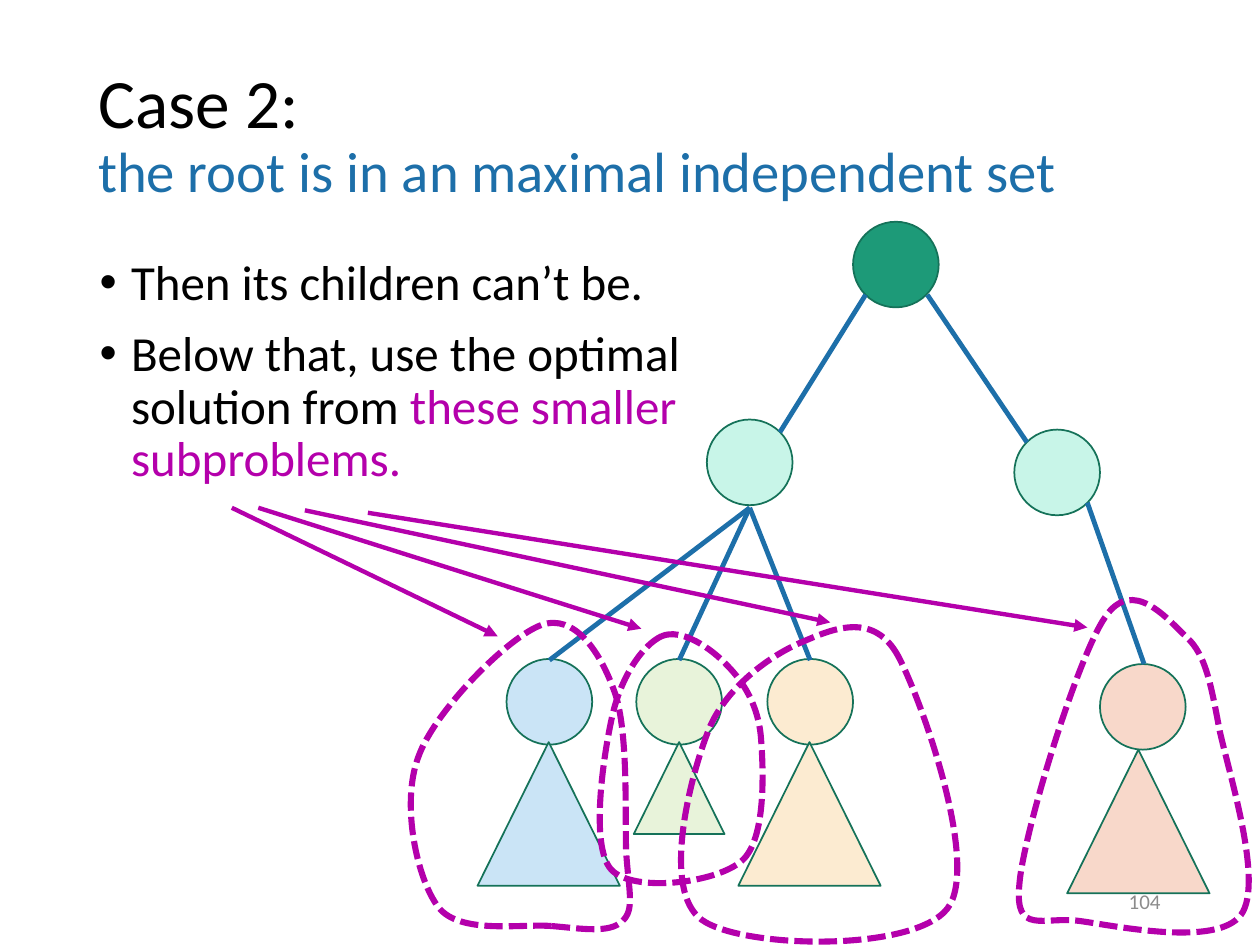
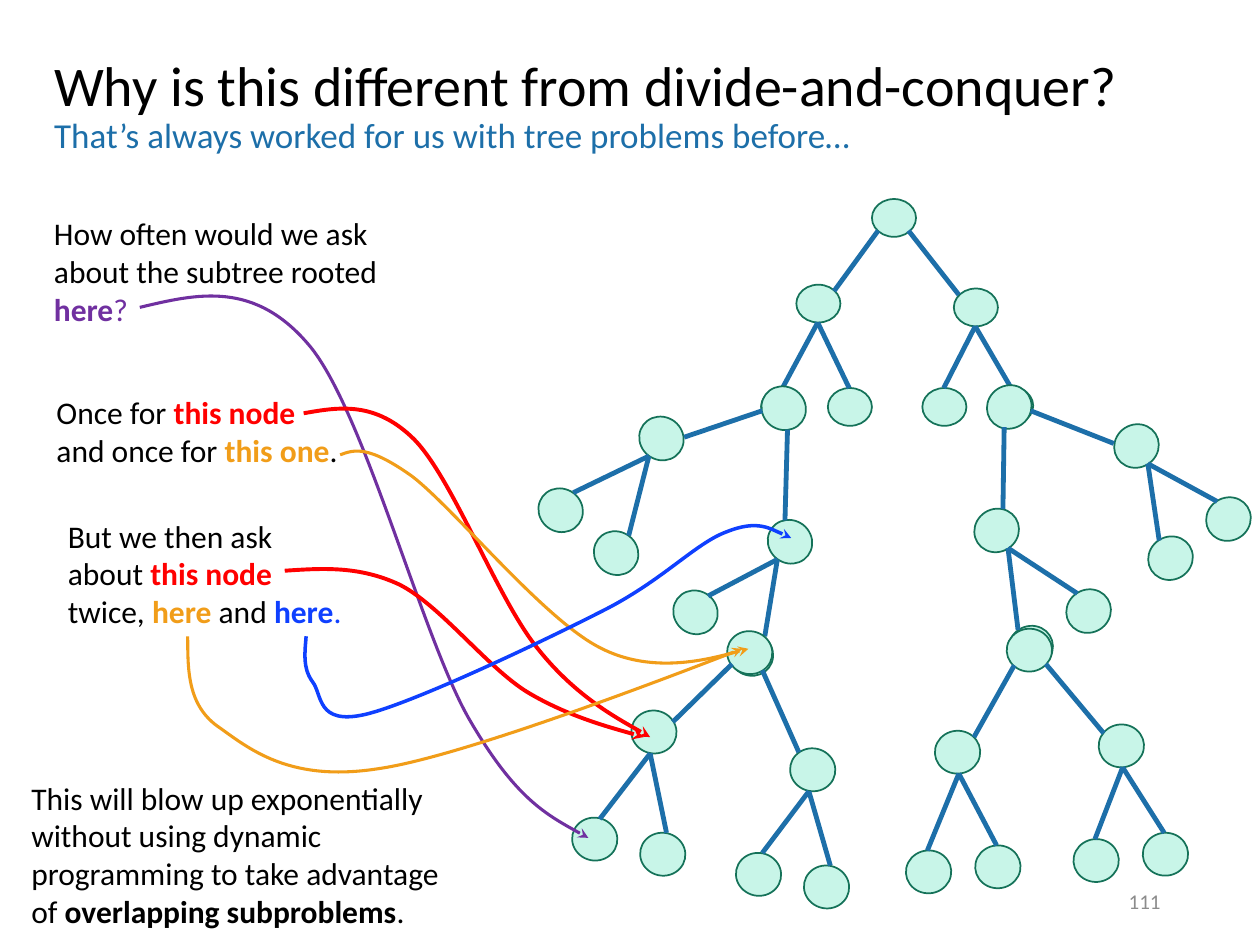
from collections import namedtuple

from lxml.etree import SubElement
from pptx import Presentation
from pptx.dml.color import RGBColor
from pptx.enum.dml import MSO_LINE
from pptx.enum.shapes import MSO_CONNECTOR, MSO_SHAPE
from pptx.enum.text import MSO_ANCHOR, MSO_AUTO_SIZE, PP_ALIGN
from pptx.oxml.ns import qn
from pptx.util import Pt

PX = 9144
FONT = "Calibri"

BLACK = RGBColor(0x00, 0x00, 0x00)
GRAY = RGBColor(0x8C, 0x8C, 0x8C)
BLUE = RGBColor(0x1D, 0x6F, 0xA9)
BRIGHT_BLUE = RGBColor(0x0F, 0x40, 0xFF)
MAGENTA = RGBColor(0xB4, 0x00, 0xAB)
PURPLE = RGBColor(0x70, 0x30, 0xA0)
RED = RGBColor(0xFF, 0x00, 0x00)
ORANGE = RGBColor(0xF1, 0x9D, 0x19)
OUTLINE = RGBColor(0x15, 0x72, 0x59)
GREEN = RGBColor(0x1D, 0x9A, 0x78)
MINT = RGBColor(0xC8, 0xF5, 0xE8)
PALE_ORANGE = RGBColor(0xFC, 0xEB, 0xD1)
PALE_GREEN = RGBColor(0xE8, 0xF3, 0xDA)
PALE_BLUE = RGBColor(0xCA, 0xE4, 0xF6)
PALE_RED = RGBColor(0xF8, 0xD8, 0xCA)

Box = namedtuple("Box", "left top width height")
Subtree = namedtuple("Subtree", "fill circle triangle size boundary")
Cluster = namedtuple("Cluster", "top right left size rotation")

NODE = 68
ROOT_NODES = [(377, 76, GREEN), (505, 241, MINT), (261, 233, MINT)]
ROOT_EDGES = [
    (515, 251, 436, 134), (319, 243, 387, 134), (343, 424, 295, 303),
    (239, 424, 295, 303), (136, 424, 295, 303), (563, 299, 608, 427),
]
SUBTREES = [
    Subtree(PALE_BLUE, (102, 423), (79, 489), (113, 114), [
        (138, 635), (162, 637), (184, 641), (194, 631), (204, 622), (199, 607), (197, 576),
        (196, 545), (199, 477), (187, 447), (176, 417), (156, 387), (130, 396),
        (104, 405), (45, 464), (32, 501), (18, 538), (31, 598), (48, 620),
        (65, 642), (114, 633), (138, 635)]),
    Subtree(PALE_GREEN, (205, 423), (203, 489), (72, 73), [
        (225, 405), (210, 412), (193, 437), (186, 468), (179, 499), (168, 571), (185, 590),
        (202, 609), (269, 601), (289, 583), (308, 566), (306, 512), (304, 486),
        (302, 460), (290, 441), (277, 428), (265, 415), (241, 398), (225, 405)]),
    Subtree(PALE_ORANGE, (309, 423), (286, 489), (113, 114), [
        (413, 421), (394, 386), (363, 398), (338, 409), (313, 419), (274, 446), (261, 483),
        (247, 520), (225, 607), (257, 630), (289, 653), (425, 656), (452, 621),
        (478, 587), (432, 457), (413, 421)]),
    Subtree(PALE_RED, (573, 427), (547, 495), (113, 114), [
        (577, 390), (555, 422), (512, 562), (509, 602), (505, 643), (528, 627), (557, 631),
        (586, 635), (666, 652), (685, 626), (703, 601), (676, 516), (668, 480),
        (661, 443), (657, 420), (642, 406), (627, 392), (599, 357), (577, 390)]),
]
SUBPROBLEM_ARROWS = [
    (0, 0, 211, 102), (21, 0, 325, 96), (58, 2, 475, 91), (108, 4, 679, 95),
]

CLUSTER_RIGHT, CLUSTER_LEFT = (65, 71), (-60, 68)
CLUSTER_NODES = [
    (0, 0), CLUSTER_RIGHT, CLUSTER_LEFT, (-35, 150), (-88, 150), (93, 149), (40, 150),
]
CLUSTER_EDGES = [
    (52, 61, 12, 10), (-47, 58, -12, 10), (-88, 135, -60, 83),
    (-35, 135, -60, 83), (93, 134, 65, 86), (40, 135, 65, 86),
]
CLUSTERS = [
    Cluster((309, 73), (374, 144), (249, 141), (35, 30), 0),
    Cluster((222, 224), (227, 330), (125, 248), (36, 34), 37.3),
    Cluster((401, 223), (502, 254), (391, 321), (36, 34), 327.4),
    Cluster((417, 416), (490, 492), (360, 497), (36, 34), 356.1),
    Cluster((195, 418), (245, 511), (119, 481), (36, 34), 11.8),
]
CALL_CURVES = [
    (PURPLE, 1.75, [
        (11, 44), (57, 33), (103, 22), (147, 76), (190, 130), (235, 305), (272, 370),
        (309, 434), (338, 449), (367, 465)]),
    (RED, 2.25, [
        (141, 128), (169, 123), (198, 118), (229, 149), (260, 181), (295, 276), (327, 315),
        (358, 354), (416, 385), (416, 385)]),
    (ORANGE, 1.75, [
        (170, 161), (181, 157), (192, 153), (227, 178), (261, 204), (331, 291), (376, 314),
        (420, 337), (494, 315), (494, 315)]),
    (RED, 2.25, [
        (126, 253), (156, 251), (185, 249), (217, 264), (249, 280), (286, 329), (318, 349),
        (351, 369), (411, 385), (411, 385)]),
    (ORANGE, 1.75, [
        (49, 305), (49, 333), (49, 361), (75, 378), (100, 396), (132, 421), (201, 410),
        (270, 400), (489, 315), (489, 315)]),
    (BRIGHT_BLUE, 2, [
        (143, 305), (142, 318), (140, 330), (148, 341), (156, 351), (151, 376), (190, 367),
        (228, 358), (331, 309), (378, 285), (426, 261), (452, 231), (477, 222),
        (502, 212), (528, 227), (528, 227)]),
]
REMARKS = [
    (Box(33, 165, 303, 101), [
        ("How often would we ask about the subtree rooted ", BLACK, False),
        ("here", PURPLE, True), ("?", PURPLE, False)]),
    (Box(35, 307, 253, 71), [
        ("Once for ", BLACK, False), ("this node ", RED, True),
        ("and once for ", BLACK, False), ("this one", ORANGE, True), (".", BLACK, False)]),
    (Box(44, 405, 243, 101), [
        ("But we then ask about ", BLACK, False), ("this node ", RED, True),
        ("twice, ", BLACK, False), ("here", ORANGE, True), (" and ", BLACK, False),
        ("here", BRIGHT_BLUE, True), (".", BRIGHT_BLUE, False)]),
    (Box(15, 613, 369, 131), [
        ("This will blow up exponentially without using dynamic programming "
         "to take advantage of ", BLACK, False),
        ("overlapping subproblems", BLACK, True), (".", BLACK, False)]),
]


def apply_format(target, values):
    """Set each named attribute of the target."""
    for name, value in values.items():
        setattr(target, name, value)


def scaled(*lengths):
    """Turn px into EMU."""
    return [length * PX for length in lengths]


def add_run(paragraph, text, size, color, bold=False):
    """Append one formatted run."""
    run = paragraph.add_run()
    run.text = text
    apply_format(run.font, {"name": FONT, "size": Pt(size), "bold": bold})
    run.font.color.rgb = color


def add_text(slide, box, runs, size, frame_format, alignment=PP_ALIGN.LEFT):
    """Add a wrapping text box with one paragraph of runs."""
    frame = slide.shapes.add_textbox(*scaled(*box)).text_frame
    apply_format(frame, {"word_wrap": True, **frame_format})
    paragraph = frame.paragraphs[0]
    paragraph.alignment = alignment
    for text, color, bold in runs:
        add_run(paragraph, text, size, color, bold)


def add_title(slide, box, heading, heading_size, subtitle, subtitle_size):
    """Fill the title placeholder with a heading and a blue second line."""
    title = slide.shapes.title
    apply_format(title, dict(zip(Box._fields, scaled(*box))))
    apply_format(title.text_frame, {
        "vertical_anchor": MSO_ANCHOR.MIDDLE, "auto_size": MSO_AUTO_SIZE.NONE})
    paragraph = title.text_frame.paragraphs[0]
    apply_format(paragraph, {"alignment": PP_ALIGN.LEFT, "line_spacing": 0.9})
    add_run(paragraph, heading, heading_size, BLACK)
    paragraph.add_line_break()
    add_run(paragraph, subtitle, subtitle_size, BLUE)


def add_page_number(slide, number):
    """Add the grey page number at the lower right."""
    add_text(slide, Box(706, 695, 225, 40), [(number, GRAY, False)], 12,
             {"vertical_anchor": MSO_ANCHOR.MIDDLE}, PP_ALIGN.RIGHT)


def add_bullets(slide, box, bullets):
    """Fill the body placeholder with bulleted paragraphs."""
    body = slide.placeholders[1]
    apply_format(body, dict(zip(Box._fields, scaled(*box))))
    frame = body.text_frame
    frame.auto_size = MSO_AUTO_SIZE.NONE
    for index, runs in enumerate(bullets):
        paragraph = frame.add_paragraph() if index else frame.paragraphs[0]
        apply_format(paragraph, {"line_spacing": 0.9, "space_before": Pt(10 if index else 0)})
        properties = paragraph._p.get_or_add_pPr()
        properties.set("marL", str(25 * PX))
        properties.set("indent", str(-25 * PX))
        SubElement(properties, qn("a:buFont"), typeface="Arial")
        SubElement(properties, qn("a:buChar"), char="•")
        for text, color in runs:
            add_run(paragraph, text, 28, color)


def set_line(shape, color, width, dash=None, arrowhead=None):
    """Format a line, with an optional dash and arrowhead."""
    shape.line.color.rgb = color
    shape.line.width = Pt(width)
    if dash:
        shape.line.dash_style = dash
    if arrowhead:
        SubElement(shape.element.xpath(".//a:ln")[0], qn("a:tailEnd"), type=arrowhead)


def add_node(shapes, kind, box, fill, rotation=0):
    """Add a filled tree part with a thin outline."""
    shape = shapes.add_shape(kind, *scaled(*box))
    shape.rotation = rotation
    shape.shadow.inherit = False
    shape.fill.solid()
    shape.fill.fore_color.rgb = fill
    set_line(shape, OUTLINE, 1)


def add_line(shapes, box, ends, color=BLUE, width=2.75, arrowhead=None):
    """Add a straight line between two points of the box."""
    x1, y1, x2, y2 = ends
    connector = shapes.add_connector(MSO_CONNECTOR.STRAIGHT, *scaled(
        box.left + x1, box.top + y1, box.left + x2, box.top + y2))
    set_line(connector, color, width, arrowhead=arrowhead)
    SubElement(connector.element.spPr, qn("a:effectLst"))


def curve_points(points, steps=20):
    """List points along a chain of cubic curves."""
    found = [points[0]]
    for start in range(0, len(points) - 1, 3):
        for step in range(1, steps + 1):
            t = step / steps
            weights = ((1 - t) ** 3, 3 * t * (1 - t) ** 2, 3 * t * t * (1 - t), t ** 3)
            found.append(tuple(
                round(sum(w * p[axis] for w, p in zip(weights, points[start:start + 4])))
                for axis in (0, 1)))
    return found


def add_curve(shapes, box, points, color, width, closed=False, **line_format):
    """Add a freeform of cubic curves that fits its outline."""
    points = [(box.left + x, box.top + y) for x, y in points]
    outline = curve_points(points)
    builder = shapes.build_freeform(*outline[0], scale=PX)
    builder.add_line_segments(outline[1:], close=closed)
    shape = builder.convert_to_shape()
    geometry = shape.element.xpath(".//a:path")[0]
    for command in list(geometry):
        geometry.remove(command)
    left, top = (min(values) for values in zip(*outline))
    for index, (x, y) in enumerate(points):
        if index == 0:
            command = SubElement(geometry, qn("a:moveTo"))
        elif index % 3 == 1:
            command = SubElement(geometry, qn("a:cubicBezTo"))
        SubElement(command, qn("a:pt"), x=str(x - left), y=str(y - top))
    if closed:
        SubElement(geometry, qn("a:close"))
    shape.fill.background()
    shape.shadow.inherit = False
    set_line(shape, color, width, **line_format)


def add_rooted_tree(slide, box):
    """Draw the root, its children and the dashed subproblems."""
    shapes = slide.shapes
    circles = ROOT_NODES + [(*subtree.circle, subtree.fill) for subtree in SUBTREES]
    for x, y, fill in circles:
        add_node(shapes, MSO_SHAPE.OVAL, (box.left + x, box.top + y, NODE, NODE), fill)
    for ends in ROOT_EDGES:
        add_line(shapes, box, ends)
    for subtree in SUBTREES:
        x, y = subtree.triangle
        add_node(shapes, MSO_SHAPE.ISOSCELES_TRIANGLE,
                 (box.left + x, box.top + y, *subtree.size), subtree.fill)
    for subtree in SUBTREES:
        add_curve(shapes, box, subtree.boundary, MAGENTA, 3.5, closed=True,
                  dash=MSO_LINE.SQUARE_DOT)


def add_cluster(slide, box, cluster):
    """Draw the seven-node pattern, stretched to the cluster's three upper nodes."""
    shapes = slide.shapes.add_group_shape().shapes
    (rx, ry), (lx, ly) = CLUSTER_RIGHT, CLUSTER_LEFT
    area = rx * ly - ry * lx

    def place(x, y):
        """Map a pattern point into the box."""
        right = (x * ly - y * lx) / area
        left = (y * rx - x * ry) / area
        return [round(top + right * (r - top) + left * (l - top))
                for top, r, l in zip(cluster.top, cluster.right, cluster.left)]

    width, height = cluster.size
    for node in CLUSTER_NODES:
        x, y = place(*node)
        add_node(shapes, MSO_SHAPE.OVAL,
                 (box.left + x - width // 2, box.top + y - height // 2, width, height),
                 MINT, cluster.rotation)
    for ends in CLUSTER_EDGES:
        add_line(shapes, box, place(*ends[:2]) + place(*ends[2:]))


def build_root_case(presentation):
    """Build the slide on the case where the root is in the set."""
    slide = presentation.slides.add_slide(presentation.slide_layouts[1])
    add_title(slide, Box(68, 54, 862, 109), "Case 2: ", 39.6,
              "the root is in an maximal independent set", 32.4)
    add_bullets(slide, Box(69, 200, 516, 476), [
        [("Then its children can’t be.", BLACK)],
        [("Below that, use the optimal solution from ", BLACK),
         ("these smaller subproblems.", MAGENTA)]])
    add_rooted_tree(slide, Box(300, 100, 700, 650))
    for ends in SUBPROBLEM_ARROWS:
        add_line(slide.shapes, Box(184, 403, 679, 102), ends, MAGENTA, 2.5, "triangle")
    add_page_number(slide, "104")


def build_comparison(presentation):
    """Build the slide on divide-and-conquer."""
    slide = presentation.slides.add_slide(presentation.slide_layouts[5])
    add_title(slide, Box(33, 28, 953, 114), "Why is this different from divide-and-conquer?", 32,
              "That’s always worked for us with tree problems before…", 20)
    for cluster in CLUSTERS:
        add_cluster(slide, Box(400, 100, 600, 630), cluster)
    for box, runs in REMARKS:
        add_text(slide, box, runs, 18, {"auto_size": MSO_AUTO_SIZE.SHAPE_TO_FIT_TEXT})
    for color, width, points in CALL_CURVES:
        add_curve(slide.shapes, Box(100, 200, 530, 470), points, color, width,
                  arrowhead="stealth")
    add_page_number(slide, "111")


def main():
    """Build and save the presentation."""
    presentation = Presentation()
    presentation.slide_width, presentation.slide_height = scaled(1000, 750)
    build_root_case(presentation)
    build_comparison(presentation)
    presentation.save("out.pptx")


if __name__ == "__main__":
    main()
